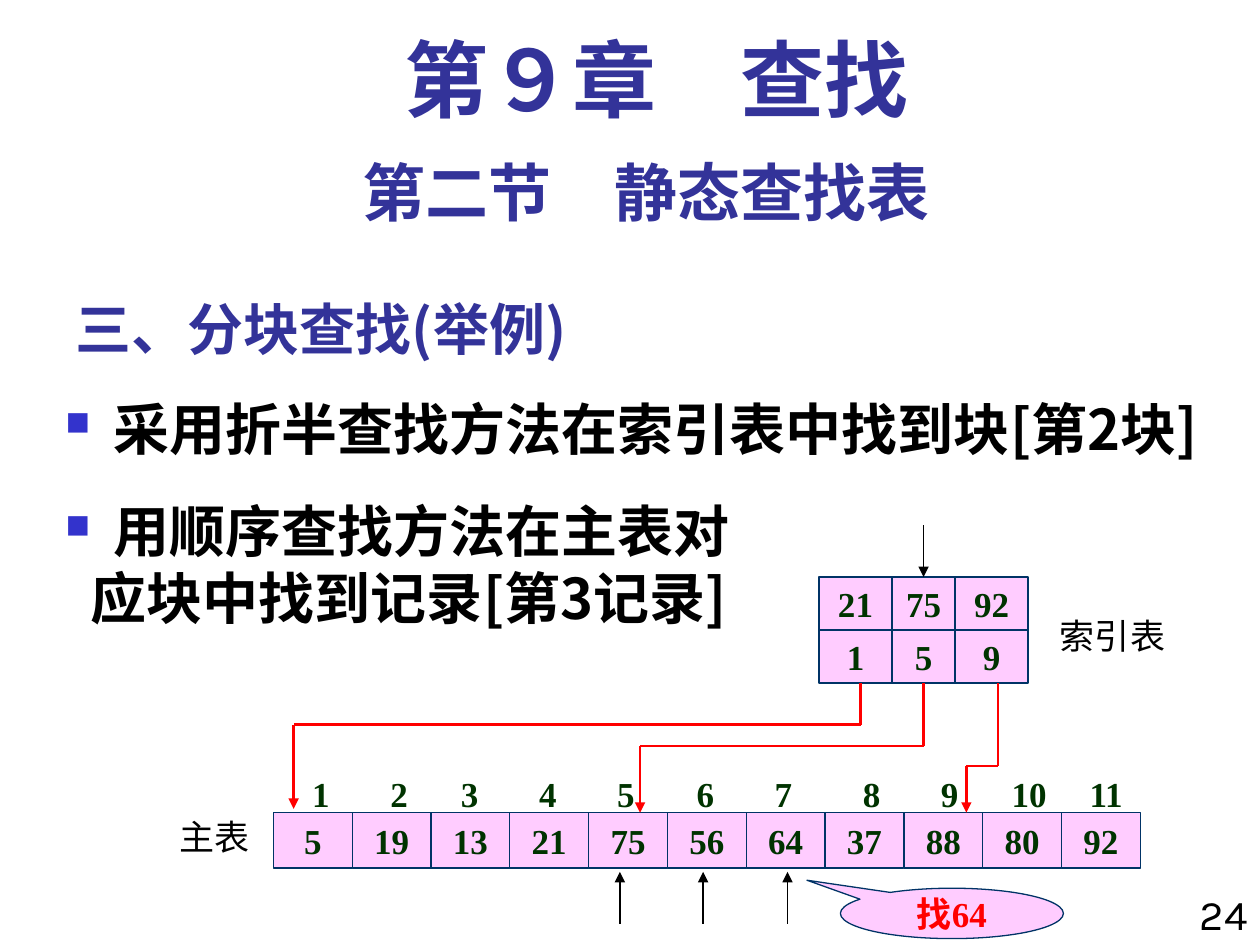
from dataclasses import dataclass
from itertools import accumulate, pairwise
from typing import Any, Optional

from lxml import etree
from pptx import Presentation
from pptx import util as u
from pptx.dml.color import RGBColor
from pptx.enum import shapes, text
from pptx.oxml import ns

NAVY = RGBColor(0x33, 0x33, 0x99)
BULLET_BLUE = "3333CC"
BLACK = RGBColor(0, 0, 0)
RED = RGBColor(0xFF, 0, 0)
PINK = RGBColor(0xFF, 0xCC, 0xFF)
EDGE = RGBColor(0, 0x33, 0x66)
GREEN = RGBColor(0, 0x33, 0)

CJK, LATIN, PLAIN = "Noto Sans CJK SC", "Times New Roman", "Karla"
LEFT, CENTER, RIGHT = text.PP_ALIGN.LEFT, text.PP_ALIGN.CENTER, text.PP_ALIGN.RIGHT
Box = tuple[float, float, float, float]
Point = tuple[float, float]


@dataclass(frozen=True)
class Style:
    size: float
    color: RGBColor
    name: str = LATIN
    bold: bool = True


@dataclass(frozen=True)
class Label:
    words: str
    box: Box
    style: Style
    align: Any = LEFT
    anchor: Any = text.MSO_ANCHOR.TOP
    side_margin: float = 0.1


CELL = Style(20, GREEN)
CAPTION = Style(20, BLACK, PLAIN, False)
BODY = Style(32, BLACK, CJK)

LABELS = [
    Label("第９章\u3000查找".replace("\u3000", "　"), (0.67, 0.17, 9.08, 0.83), Style(48, NAVY), CENTER),
    Label("第二节　静态查找表", (0.5, 1.17, 9.25, 0.7), Style(36, NAVY, PLAIN), CENTER),
    Label("三、分块查找(举例)", (0.5, 2.17, 6.25, 0.75), Style(32, NAVY, CJK),
          anchor=text.MSO_ANCHOR.BOTTOM),
    Label("24", (9.33, 7, 0.67, 0.59), Style(24, BLACK, PLAIN, False), RIGHT),
    Label("主表", (1.33, 6.42, 0.83, 0.44), CAPTION),
    Label("索引表", (8.33, 4.83, 1, 0.44), CAPTION, CENTER, side_margin=0),
]

BULLETS = ["采用折半查找方法在索引表中找到块[第2块]", "用顺序查找方法在主表对"]
CONTINUATION = "应块中找到记录[第3记录]"

MAIN_TABLE = [5, 19, 13, 21, 75, 56, 64, 37, 88, 80, 92]
MAIN_LEFT, MAIN_TOP, MAIN_WIDTH, MAIN_HEIGHT = 2.17, 6.45, 6.88, 0.44
NUMBER_STEPS = [0.62, 0.56, 0.62, 0.62, 0.63, 0.62, 0.7, 0.62, 0.56, 0.62]

INDEX_TABLE = [(21, 75, 92), (1, 5, 9)]
INDEX_EDGES = [6.5, 7.08, 7.58, 8.16]
INDEX_TOP, INDEX_HEIGHT = 4.58, 0.42
INDEX_BOTTOM = 5.42

# start x under the index table, height of the bend, end x and y at the main table
BLOCK_LINKS = [(6.83, 5.75, 2.33, 6.42), (7.33, 5.92, 5.08, 6.45), (7.92, 6.08, 7.67, 6.45)]
SEARCH_STEPS = [4.92, 5.58, 6.25]


def add_xml(parent: Any, tag: str, **attributes: str) -> Any:
    return etree.SubElement(parent, ns.qn(tag), attributes)


def set_format(target: Any, values: dict[str, Any]) -> None:
    for name, value in values.items():
        setattr(target, name, value)


def write(paragraph: Any, words: str, style: Style) -> None:
    run = paragraph.add_run()
    run.text = words
    set_format(run.font, {"size": u.Pt(style.size), "bold": style.bold, "name": style.name})
    run.font.color.rgb = style.color
    add_xml(run.font._element, "a:ea", typeface=CJK)


def place(box: Box) -> list[u.Length]:
    return [u.Inches(length) for length in box]


def add_label(slide_shapes: Any, label: Label) -> Any:
    shape = slide_shapes.add_textbox(*place(label.box))
    margin = u.Inches(label.side_margin)
    set_format(shape.text_frame, {"word_wrap": True, "vertical_anchor": label.anchor,
                                  "margin_left": margin, "margin_right": margin})
    paragraph = shape.text_frame.paragraphs[0]
    paragraph.alignment = label.align
    write(paragraph, label.words, label.style)
    return shape


def add_pink_shape(slide_shapes: Any, kind: Any, box: Box, words: str, style: Style) -> Any:
    shape = slide_shapes.add_shape(kind, *place(box))
    shape.shadow.inherit = False
    shape.fill.solid()
    shape.fill.fore_color.rgb = PINK
    shape.line.color.rgb = EDGE
    shape.line.width = u.Pt(0.75)
    set_format(shape.text_frame, {"word_wrap": False, "vertical_anchor": text.MSO_ANCHOR.MIDDLE})
    paragraph = shape.text_frame.paragraphs[0]
    paragraph.alignment = CENTER
    write(paragraph, words, style)
    return shape


def add_line(slide_shapes: Any, start: Point, end: Point, color: RGBColor,
             width: float, arrow: bool = False) -> None:
    line = slide_shapes.add_connector(shapes.MSO_CONNECTOR.STRAIGHT, *place(start + end))
    line.line.color.rgb = color
    line.line.width = u.Pt(width)
    if arrow:
        add_xml(line.line._get_or_add_ln(), "a:tailEnd", type="triangle")
    add_xml(line._element.spPr, "a:effectLst")


def add_body(slide_shapes: Any) -> None:
    frame = slide_shapes.add_textbox(*place((0.42, 3.08, 9.58, 4.42))).text_frame
    frame.word_wrap = True
    for index, words in enumerate([*BULLETS, CONTINUATION]):
        paragraph = frame.add_paragraph() if index else frame.paragraphs[0]
        bulleted = index < len(BULLETS)
        if index and bulleted:
            paragraph.space_before = u.Pt(20)
        properties = paragraph._element.get_or_add_pPr()
        properties.set("marL", str(u.Inches(0.38)))
        properties.set("indent", str(u.Inches(-0.38 if bulleted else -0.18)))
        if bulleted:
            color = add_xml(properties, "a:buClr")
            add_xml(color, "a:srgbClr", val=BULLET_BLUE)
            add_xml(properties, "a:buSzPct", val="60000")
            add_xml(properties, "a:buChar", char="■")
        write(paragraph, words, BODY)


def add_main_table(slide_shapes: Any) -> None:
    group = slide_shapes.add_group_shape().shapes
    numbers = "\t".join(str(number + 1) for number in range(len(MAIN_TABLE)))
    row = add_label(group, Label(numbers, (2.38, 6.08, 7, 0.44), CELL))
    tabs = add_xml(row.text_frame.paragraphs[0]._element.get_or_add_pPr(), "a:tabLst")
    for position in accumulate(NUMBER_STEPS):
        add_xml(tabs, "a:tab", pos=str(u.Inches(position)), algn="l")
    width = MAIN_WIDTH / len(MAIN_TABLE)
    for column, value in enumerate(MAIN_TABLE):
        box = (MAIN_LEFT + column * width, MAIN_TOP, width, MAIN_HEIGHT)
        add_pink_shape(group, shapes.MSO_SHAPE.RECTANGLE, box, str(value), CELL)


def add_index_table(slide_shapes: Any) -> None:
    group = slide_shapes.add_group_shape().shapes
    for row, values in enumerate(INDEX_TABLE):
        top = INDEX_TOP + row * INDEX_HEIGHT
        for value, (left, right) in zip(values, pairwise(INDEX_EDGES)):
            box = (left, top, right - left, INDEX_HEIGHT)
            add_pink_shape(group, shapes.MSO_SHAPE.RECTANGLE, box, str(value), CELL)


def add_arrows(slide_shapes: Any) -> None:
    for start, bend, end, bottom in BLOCK_LINKS:
        add_line(slide_shapes, (end, bend), (end, bottom), RED, 1.5, arrow=True)
        add_line(slide_shapes, (start, bend), (end, bend), RED, 1.5)
        add_line(slide_shapes, (start, bend), (start, INDEX_BOTTOM), RED, 1.5)
    add_line(slide_shapes, (7.33, 4.17), (7.33, INDEX_TOP), BLACK, 0.75, arrow=True)
    for x in SEARCH_STEPS:
        add_line(slide_shapes, (x, 7.33), (x, 6.92), BLACK, 0.75, arrow=True)


def main() -> None:
    presentation = Presentation()
    set_format(presentation, {"slide_width": u.Inches(10), "slide_height": u.Inches(7.5)})
    slide = presentation.slides.add_slide(presentation.slide_layouts[6])
    add_body(slide.shapes)
    for label in LABELS:
        add_label(slide.shapes, label)
    add_main_table(slide.shapes)
    callout = add_pink_shape(slide.shapes, shapes.MSO_SHAPE.OVAL_CALLOUT,
                             (6.67, 7.05, 1.77, 0.4), "找64", Style(20, RED))
    callout.adjustments[0], callout.adjustments[1] = -0.65, -0.66
    add_index_table(slide.shapes)
    add_arrows(slide.shapes)
    presentation.save("out.pptx")


if __name__ == "__main__":
    main()
